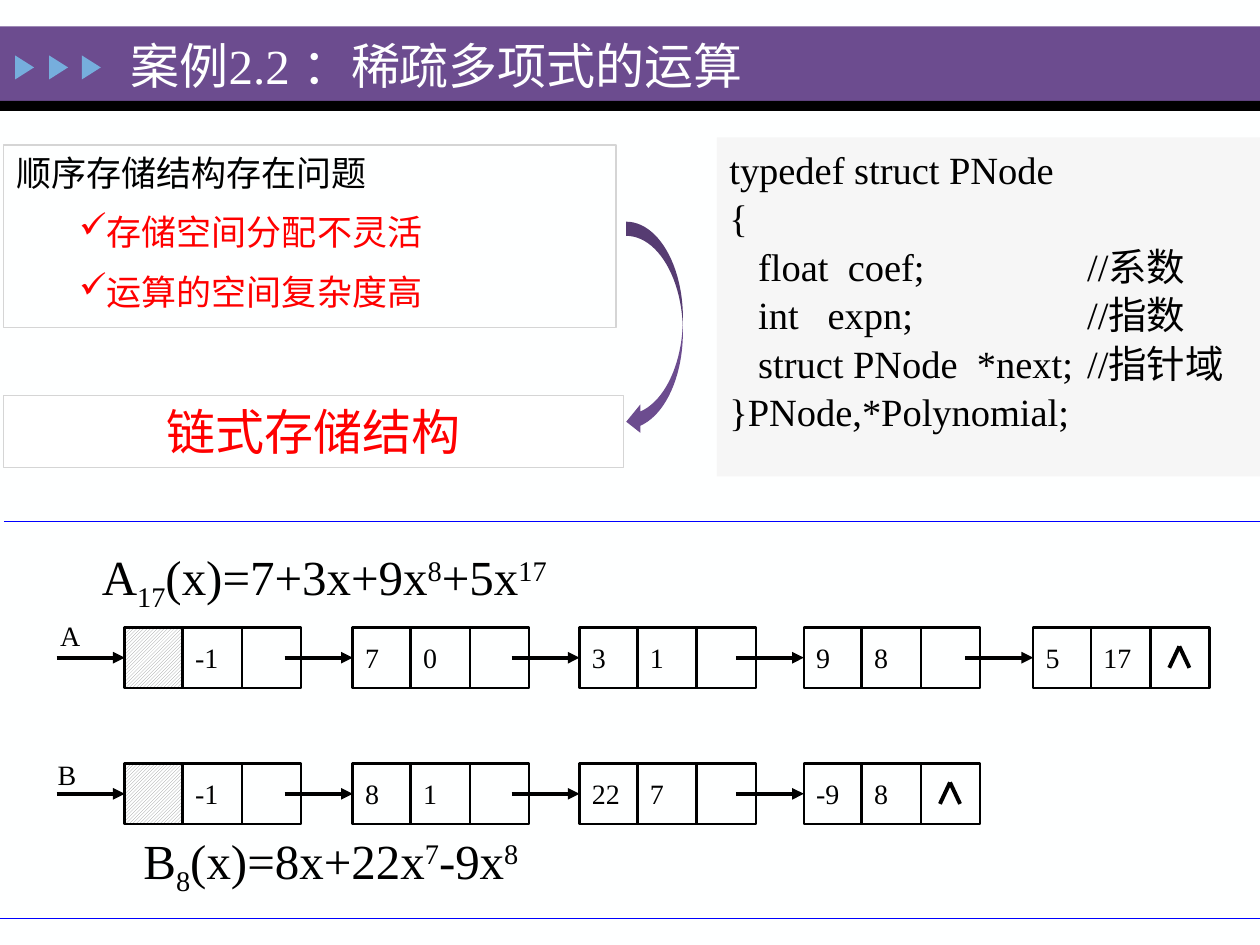
from dataclasses import dataclass
from typing import Optional

from lxml.etree import SubElement
from pptx import Presentation
from pptx.dml.color import RGBColor
from pptx.enum.dml import MSO_PATTERN_TYPE as PATTERN
from pptx.enum.shapes import MSO_CONNECTOR, MSO_SHAPE as SHAPE
from pptx.enum.text import MSO_ANCHOR as ANCHOR, PP_ALIGN as ALIGN
from pptx.oxml.ns import qn
from pptx.util import Emu, Pt

PX = 9144
FONT = "Times New Roman"
COLORS = {
    "paper": "FEFFFF", "white": "FFFFFF", "black": "000000",
    "purple": "6C4C8F", "sky": "76AEDD", "red": "FF0000", "blue": "0000FF",
    "border": "D5D5D5", "code": "F6F6F6", "hatch": "969696",
}
CELL_WIDTHS = (46, 47, 47)
CELL_HEIGHT = 48
ARROW_LENGTH = 54
NODE_LEFTS = (99, 280, 460, 638, 820)


@dataclass(frozen=True)
class Box:
    x: int
    y: int
    w: int
    h: int


@dataclass(frozen=True)
class LinkedList:
    name: str
    label: Box
    top: int
    terms: tuple[tuple[str, str], ...]


@dataclass(frozen=True)
class Formula:
    box: Box
    pieces: tuple[tuple[str, int], ...]


LISTS = (
    LinkedList("A", Box(38, 486, 36, 37), 498,
               (("", "-1"), ("7", "0"), ("3", "1"), ("9", "8"), ("5", "17"))),
    LinkedList("B", Box(36, 596, 35, 37), 606,
               (("", "-1"), ("8", "1"), ("22", "7"), ("-9", "8"))),
)
SUB, SUP = -25000, 30000
FORMULAS = (
    Formula(Box(71, 429, 443, 57),
            (("A", 0), ("17", SUB), ("(x)=7+3x+9x", 0), ("8", SUP),
             ("+5x", 0), ("17", SUP))),
    Formula(Box(104, 654, 443, 57),
            (("B", 0), ("8", SUB), ("(x)=8x+22x", 0), ("7", SUP),
             ("-9x", 0), ("8", SUP))),
)
PROBLEMS = ("顺序存储结构存在问题", "存储空间分配不灵活", "运算的空间复杂度高")
CODE = (
    "typedef struct PNode",
    "{",
    "   float  coef;\t//系数",
    "   int   expn;\t//指数",
    "   struct PNode  *next;\t//指针域",
    "}PNode,*Polynomial;",
)


def px(n: int) -> Emu:
    return Emu(n * PX)


def rgb(name: str) -> RGBColor:
    return RGBColor.from_string(COLORS[name])


def place(box: Box) -> tuple[Emu, ...]:
    return px(box.x), px(box.y), px(box.w), px(box.h)


def style_run(r, size: int, color: str) -> None:
    r.font.size = Pt(size)
    r.font.name = FONT
    r.font.color.rgb = rgb(color)


def write(sp, text: str, size: int, color: str = "black", align=ALIGN.LEFT,
          anchor=ANCHOR.TOP, wrap: bool = True) -> None:
    tf = sp.text_frame
    tf.text = text
    tf.word_wrap = wrap
    tf.vertical_anchor = anchor
    for p in tf.paragraphs:
        p.alignment = align
        for r in p.runs:
            style_run(r, size, color)


def add_shape(slide, kind, box: Box, fill: Optional[str] = None,
              line: Optional[str] = None, width: float = 0.75):
    sp = slide.shapes.add_shape(kind, *place(box))
    sp.shadow.inherit = False
    if fill:
        sp.fill.solid()
        sp.fill.fore_color.rgb = rgb(fill)
    else:
        sp.fill.background()
    if line:
        sp.line.color.rgb = rgb(line)
        sp.line.width = Pt(width)
    else:
        sp.line.fill.background()
    return sp


def add_line(slide, start: tuple[int, int], end: tuple[int, int],
             color: str = "black", width: float = 2.25, target=None) -> None:
    cx = slide.shapes.add_connector(
        MSO_CONNECTOR.STRAIGHT, *map(px, start), *map(px, end))
    cx.line.color.rgb = rgb(color)
    cx.line.width = Pt(width)
    spPr = cx._element.spPr
    if target is not None:
        cx.end_connect(target, 1)
        SubElement(spPr.find(qn("a:ln")), qn("a:tailEnd"), type="triangle")
    SubElement(spPr, qn("a:effectLst"))


def add_node(slide, left: int, top: int, term: tuple[str, str]):
    cells = []
    for width, text in zip(CELL_WIDTHS, (*term, "")):
        sp = add_shape(slide, SHAPE.RECTANGLE, Box(left, top, width, CELL_HEIGHT),
                       line="black", width=1.5)
        if text:
            write(sp, text, 16, anchor=ANCHOR.MIDDLE, wrap=False)
        cells.append(sp)
        left += width
    head = cells[0]
    if not term[0]:
        head.fill.patterned()
        head.fill.pattern = PATTERN.DARK_UPWARD_DIAGONAL
        head.fill.fore_color.rgb = rgb("hatch")
        head.fill.back_color.rgb = rgb("paper")
    return head


def add_list(slide, chain: LinkedList) -> None:
    mid = chain.top + CELL_HEIGHT // 2
    nodes = list(zip(NODE_LEFTS, chain.terms))
    heads = [add_node(slide, left, chain.top, term) for left, term in nodes]
    for (left, _), head in zip(nodes, heads):
        add_line(slide, (left - ARROW_LENGTH, mid), (left, mid), target=head)
    apex_x = nodes[-1][0] + sum(CELL_WIDTHS[:2]) + 23
    apex_y = chain.top + 15
    for dx in (-8, 8):
        add_line(slide, (apex_x, apex_y), (apex_x + dx, apex_y + 17))
    label = slide.shapes.add_textbox(*place(chain.label))
    write(label, chain.name, 16, wrap=False)


def add_formula(slide, formula: Formula) -> None:
    tf = slide.shapes.add_textbox(*place(formula.box)).text_frame
    tf.word_wrap = True
    for text, baseline in formula.pieces:
        r = tf.paragraphs[0].add_run()
        r.text = text
        style_run(r, 28, "black")
        if baseline:
            r._r.get_or_add_rPr().set("baseline", str(baseline))


def add_header(slide) -> None:
    add_shape(slide, SHAPE.RECTANGLE, Box(0, 21, 1000, 59), "purple")
    add_shape(slide, SHAPE.RECTANGLE, Box(0, 80, 1000, 8), "black")
    for x in (10, 37, 63):
        sp = add_shape(slide, SHAPE.ISOSCELES_TRIANGLE, Box(x, 46, 19, 15), "sky")
        sp.rotation = 90
    title = slide.shapes.add_textbox(*place(Box(94, 18, 540, 67)))
    write(title, "案例2.2 ：稀疏多项式的运算", 28, "paper", anchor=ANCHOR.MIDDLE)


def add_problems(slide) -> None:
    sp = add_shape(slide, SHAPE.RECTANGLE, Box(3, 115, 486, 145), line="border")
    write(sp, "\n".join(PROBLEMS), 20)
    for p in sp.text_frame.paragraphs[1:]:
        pPr = p._p.get_or_add_pPr()
        pPr.set("marL", str(px(50)))
        pPr.set("indent", "0")
        SubElement(pPr, qn("a:buChar"), char="✓")
        p.level = 1
        p.space_before = Pt(10)
        p.runs[0].font.color.rgb = rgb("red")


def add_code(slide) -> None:
    sp = add_shape(slide, SHAPE.RECTANGLE, Box(569, 109, 431, 269), "code")
    write(sp, "\n".join(CODE), 22)
    for p in sp.text_frame.paragraphs:
        tabs = SubElement(p._p.get_or_add_pPr(), qn("a:tabLst"))
        SubElement(tabs, qn("a:tab"), pos=str(px(284)), algn="l")
        p.line_spacing = 1.05


def main() -> None:
    prs = Presentation()
    prs.slide_width, prs.slide_height = px(1000), px(750)
    slide = prs.slides.add_slide(prs.slide_layouts[6])
    slide.background.fill.solid()
    slide.background.fill.fore_color.rgb = rgb("paper")
    add_header(slide)
    add_shape(slide, SHAPE.CURVED_LEFT_ARROW, Box(497, 176, 45, 170), "purple")
    for formula in FORMULAS:
        add_formula(slide, formula)
    for chain in LISTS:
        add_list(slide, chain)
    add_problems(slide)
    answer = add_shape(slide, SHAPE.RECTANGLE, Box(3, 314, 492, 57), "white", "border")
    write(answer, "链式存储结构", 28, "red", ALIGN.CENTER)
    add_code(slide)
    add_line(slide, (3, 414), (1000, 414), "blue", 0.75)
    add_line(slide, (0, 729), (1000, 729), "blue", 0.75)
    prs.save("out.pptx")


if __name__ == "__main__":
    main()
